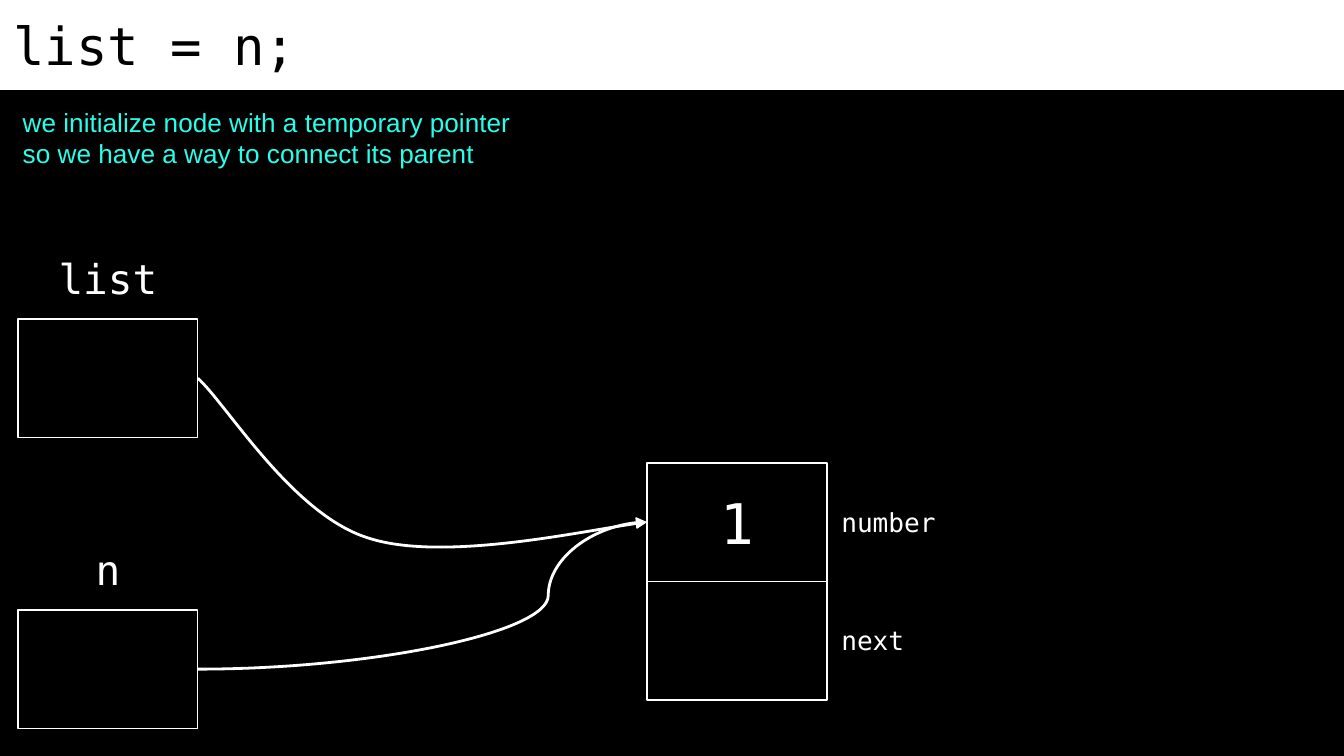
import lxml.etree
import pptx
import pptx.dml.color
import pptx.enum.shapes
import pptx.enum.text
import pptx.oxml.ns
import pptx.util

Cm = pptx.util.Cm
Pt = pptx.util.Pt
qn = pptx.oxml.ns.qn
Align = pptx.enum.text.PP_ALIGN
Anchor = pptx.enum.text.MSO_ANCHOR

BLACK = pptx.dml.color.RGBColor(0x00, 0x00, 0x00)
WHITE = pptx.dml.color.RGBColor(0xFF, 0xFF, 0xFF)
AQUA = pptx.dml.color.RGBColor(0x27, 0xFF, 0xEB)
MONO = "DejaVu Sans Mono"
SANS = "Arial"

WIDE, TALL = 3.4, 2.24
LEFT, NODE = 0.34, 12.23
LIST_TOP, N_TOP, NODE_TOP = 6.03, 11.53, 8.75


def write(shape, text, size, color=WHITE, font=MONO, align=Align.LEFT,
          anchor=Anchor.TOP, inset=0.25):
    frame = shape.text_frame
    frame.text = text
    frame.word_wrap = True
    frame.auto_size = pptx.enum.text.MSO_AUTO_SIZE.NONE
    frame.vertical_anchor = anchor
    frame.margin_left = frame.margin_right = Cm(0.25)
    frame.margin_top = frame.margin_bottom = Cm(inset)
    line = frame.paragraphs[0]
    line.alignment = align
    face = line.runs[0].font
    face.name = font
    face.size = Pt(size)
    face.color.rgb = color


def add_title(slide, text):
    title = slide.shapes.title
    title.left, title.top = Cm(0), Cm(0)
    title.width, title.height = Cm(25.4), Cm(1.7)
    title.fill.solid()
    title.fill.fore_color.rgb = WHITE
    write(title, text, 28, color=BLACK)


def add_label(slide, text, x, y, w, h, size, **style):
    label = slide.shapes.add_textbox(Cm(x), Cm(y), Cm(w), Cm(h))
    write(label, text, size, **style)


def add_box(slide, x, y, text=None):
    box = slide.shapes.add_shape(pptx.enum.shapes.MSO_SHAPE.RECTANGLE,
                                 Cm(x), Cm(y), Cm(WIDE), Cm(TALL))
    box.shadow.inherit = False
    box.fill.background()
    box.line.color.rgb = WHITE
    box.line.width = Pt(0.75)
    if text:
        write(box, text, 30, align=Align.CENTER, anchor=Anchor.MIDDLE)


def add_var(slide, name, top):
    add_box(slide, LEFT, top)
    add_label(slide, name, LEFT + 0.5, top - 1.48, WIDE - 1, 1.12, 22,
              align=Align.CENTER)


def add_field(slide, name, top, value=None):
    add_box(slide, NODE, top, value)
    add_label(slide, name, NODE + WIDE + 0.02, top + 0.57, 2.95, 1.12, 14)


def add_head(arrow):
    arrow.line.color.rgb = WHITE
    arrow.line.width = Pt(1.5)
    line = arrow.element.spPr.find(qn("a:ln"))
    lxml.etree.SubElement(line, qn("a:tailEnd"), type="triangle")


def add_bend(slide, start, end, bend):
    arrow = slide.shapes.add_connector(
        pptx.enum.shapes.MSO_CONNECTOR.CURVE,
        *(Cm(n) for n in start + end))
    add_head(arrow)
    props = arrow.element.spPr
    lxml.etree.SubElement(props, qn("a:effectLst"))
    guides = props.find(qn("a:prstGeom")).find(qn("a:avLst"))
    lxml.etree.SubElement(guides, qn("a:gd"), name="adj1",
                          fmla=f"val {round(bend * 100000)}")


def add_curve(slide, start, points):
    pen = slide.shapes.build_freeform(*(Cm(n) for n in start))
    pen.add_line_segments([(Cm(x), Cm(y)) for x, y in points], close=False)
    arrow = pen.convert_to_shape()
    arrow.shadow.inherit = False
    arrow.fill.background()
    add_head(arrow)
    route = arrow.element.find(".//" + qn("a:path"))
    steps = route.findall(qn("a:lnTo"))
    for first in range(0, len(steps), 3):
        curve = lxml.etree.SubElement(route, qn("a:cubicBezTo"))
        for step in steps[first:first + 3]:
            curve.append(step[0])
            route.remove(step)


def main():
    deck = pptx.Presentation()
    deck.slide_width, deck.slide_height = Cm(25.4), Cm(14.29)
    slide = deck.slides.add_slide(deck.slide_layouts[5])
    slide.background.fill.solid()
    slide.background.fill.fore_color.rgb = BLACK

    add_title(slide, "list = n;")
    add_label(slide, "we initialize node with a temporary pointer "
              "so we have a way to connect its parent",
              0.18, 1.88, 10.08, 1.45, 14, color=AQUA, font=SANS, inset=0.13)

    add_var(slide, "list", LIST_TOP)
    add_var(slide, "n", N_TOP)
    add_field(slide, "number", NODE_TOP, "1")
    add_field(slide, "next", NODE_TOP + TALL)

    edge, half = LEFT + WIDE, TALL / 2
    goal = (NODE, NODE_TOP + half)
    add_bend(slide, (edge, N_TOP + half), goal, 0.78)
    add_curve(slide, (edge, LIST_TOP + half),
              [(4.29, 7.65), (5.51, 9.7), (6.93, 10.16),
               (8.33, 10.64), (11.35, 9.96), goal])

    deck.save("out.pptx")


if __name__ == "__main__":
    main()
